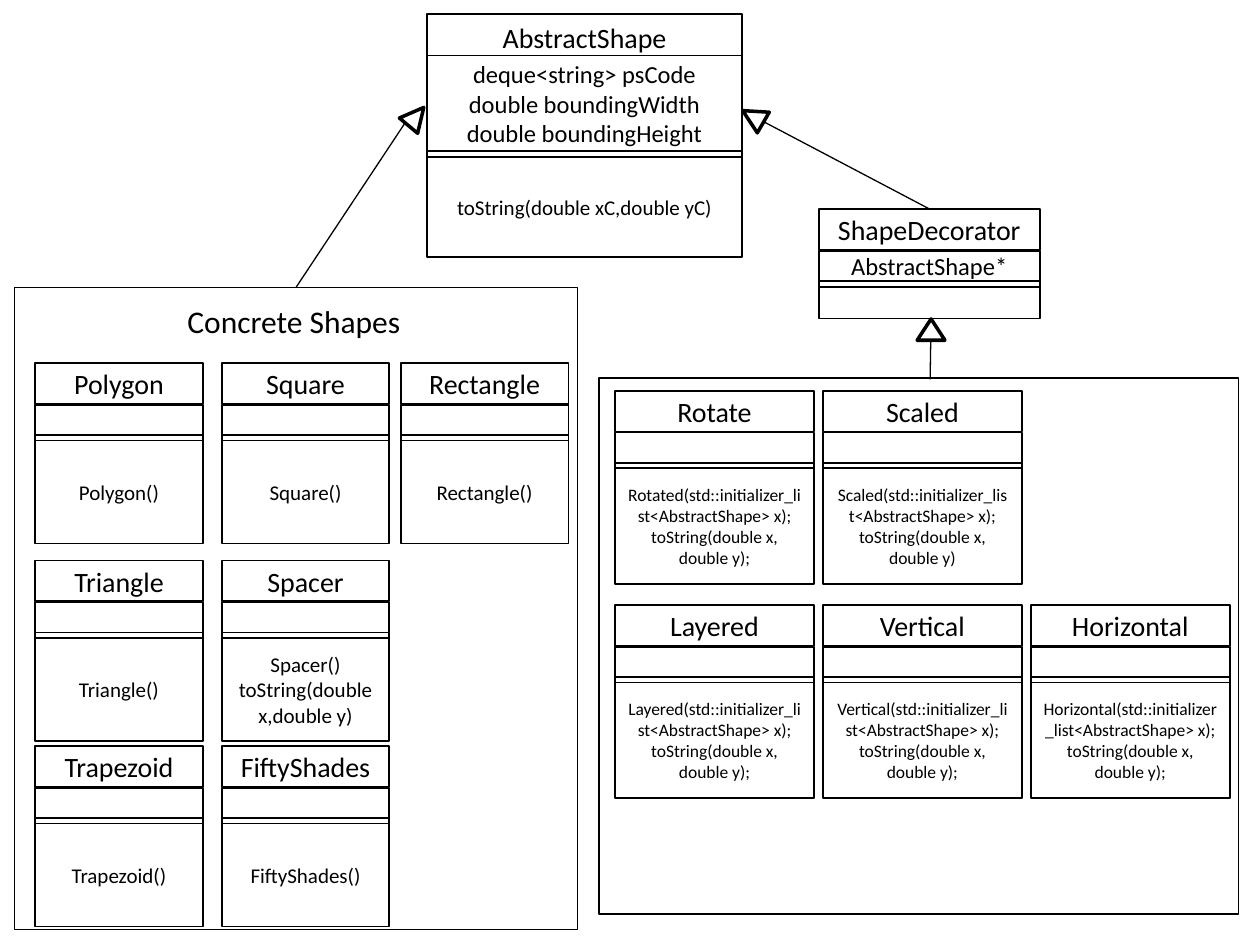
from dataclasses import dataclass

from lxml.etree import SubElement
from pptx import Presentation
from pptx.dml.color import RGBColor
from pptx.enum.shapes import MSO_CONNECTOR as Link, MSO_SHAPE as Kind
from pptx.enum.text import MSO_ANCHOR as Anchor, MSO_AUTO_SIZE as Auto, PP_ALIGN as Align
from pptx.oxml.ns import qn
from pptx.util import Cm, Pt

FONT = "Calibri"
BLACK = "000000"
WHITE = "FFFFFF"


@dataclass
class Card:
    """A class box with name, fields and methods; lengths in cm."""
    name: str
    left: float
    top: float
    width: float
    body: str = ""
    size: float = 12
    deep: float = 2.08
    data: str = ""
    mid: float = 0.61
    head: float = 0.82


@dataclass
class Arrow:
    """A line from start to end, with a triangle laid over its end."""
    start: tuple[float, float]
    end: tuple[float, float]
    tip: tuple[float, float, float, float]
    turn: float = 0


def hue(code: str) -> RGBColor:
    """Turn a hex string into a colour."""
    return RGBColor.from_string(code)


def style(frame, text: str, size: float, align: Align) -> None:
    """Set the text of a frame and format its runs."""
    frame.text = text
    for para in frame.paragraphs:
        para.alignment = align
        for run in para.runs:
            run.font.name = FONT
            run.font.size = Pt(size)
            run.font.color.rgb = hue(BLACK)


def shape(box: tuple, fill: str = WHITE, line: float = 1, kind: Kind = Kind.RECTANGLE):
    """Draw an outlined shape; an empty fill leaves it clear."""
    item = slide.shapes.add_shape(kind, *map(Cm, box))
    item.shadow.inherit = False
    if fill:
        item.fill.solid()
        item.fill.fore_color.rgb = hue(fill)
    else:
        item.fill.background()
    item.line.color.rgb = hue(BLACK)
    item.line.width = Pt(line)
    return item


def draw_card(card: Card) -> None:
    """Draw the four stacked bands of a class box."""
    rule = 0.84 + card.mid
    bands = [
        (0, card.head, card.name, 16),
        (0.84, card.mid, card.data, 14),
        (rule, 0.12, "", 0),
        (rule + 0.11, card.deep, card.body, card.size),
    ]
    for drop, high, text, size in bands:
        band = shape((card.left, card.top + drop, card.width, high))
        if text:
            band.text_frame.vertical_anchor = Anchor.MIDDLE
            style(band.text_frame, text, size, Align.CENTER)


def draw_arrow(arrow: Arrow) -> None:
    """Draw a line with an open arrowhead and its triangle."""
    wire = slide.shapes.add_connector(
        Link.STRAIGHT, *map(Cm, arrow.start + arrow.end))
    wire.line.color.rgb = hue(BLACK)
    wire.line.width = Pt(0.75)
    SubElement(wire.line._get_or_add_ln(), qn("a:tailEnd"), type="arrow")
    SubElement(wire._element.spPr, qn("a:effectLst"))
    shape(arrow.tip, line=2, kind=Kind.ISOSCELES_TRIANGLE).rotation = arrow.turn


deck = Presentation()
deck.slide_width, deck.slide_height = Cm(25.4), Cm(19.05)
slide = deck.slides.add_slide(deck.slide_layouts[6])

cards = [
    Card("AbstractShape", 8.61, 0.28, 6.35, "toString(double xC,double yC)", deep=2.03,
         data="deque<string> psCode\ndouble boundingWidth\ndouble boundingHeight",
         mid=1.93, head=0.94),
    Card("ShapeDecorator", 16.51, 4.22, 4.45, deep=0.64, data="AbstractShape*"),
]

# Concrete shapes: name, column, row
COLS = (0.71, 4.47, 8.08)
ROWS = (7.32, 11.3, 15.04)
EXTRA = {"Spacer": "\ntoString(double x,double y)"}
for name, col, row in [
    ("Polygon", 0, 0), ("Square", 1, 0), ("Rectangle", 2, 0),
    ("Triangle", 0, 1), ("Spacer", 1, 1),
    ("Trapezoid", 0, 2), ("FiftyShades", 1, 2),
]:
    cards.append(Card(name, COLS[col], ROWS[row], 3.38, f"{name}(){EXTRA.get(name, '')}"))

# Decorators: name, constructor, column, row, line gap, line end
for name, maker, col, row, gap, end in [
    ("Rotate", "Rotated", 0, 0, "\n", ";"), ("Scaled", "Scaled", 1, 0, "\n", ""),
    ("Layered", "Layered", 0, 1, "\n", ";"), ("Vertical", "Vertical", 1, 1, "\n", ";"),
    ("Horizontal", "Horizontal", 2, 1, "\v", ";"),
]:
    body = (f"{maker}(std::initializer_list<AbstractShape> x);{gap}"
            f"toString(double x, double y){end}")
    cards.append(Card(name, 12.4 + 4.19 * col, 7.88 + 4.32 * row, 4.01, body, 10, 2.33))

shape((0.3, 5.79, 11.35, 12.95), "", 0.75)
shape((12.07, 7.62, 12.9, 10.8), "")
for card in cards:
    draw_card(card)

label = slide.shapes.add_textbox(Cm(3.53), Cm(5.97), Cm(4.85), Cm(1.02))
style(label.text_frame, "Concrete Shapes", 18, Align.LEFT)
label.text_frame.word_wrap = False
label.text_frame.auto_size = Auto.SHAPE_TO_FIT_TEXT

for arrow in [
    Arrow((5.97, 5.79), (8.31, 2.26), (8.15, 2.11, 0.48, 0.48), 40),
    Arrow((18.75, 4.22), (14.99, 2.24), (14.94, 2.11, 0.48, 0.48), 300),
    Arrow((18.75, 7.65), (18.77, 6.43), (18.49, 6.43, 0.56, 0.43)),
]:
    draw_arrow(arrow)

deck.save("out.pptx")
